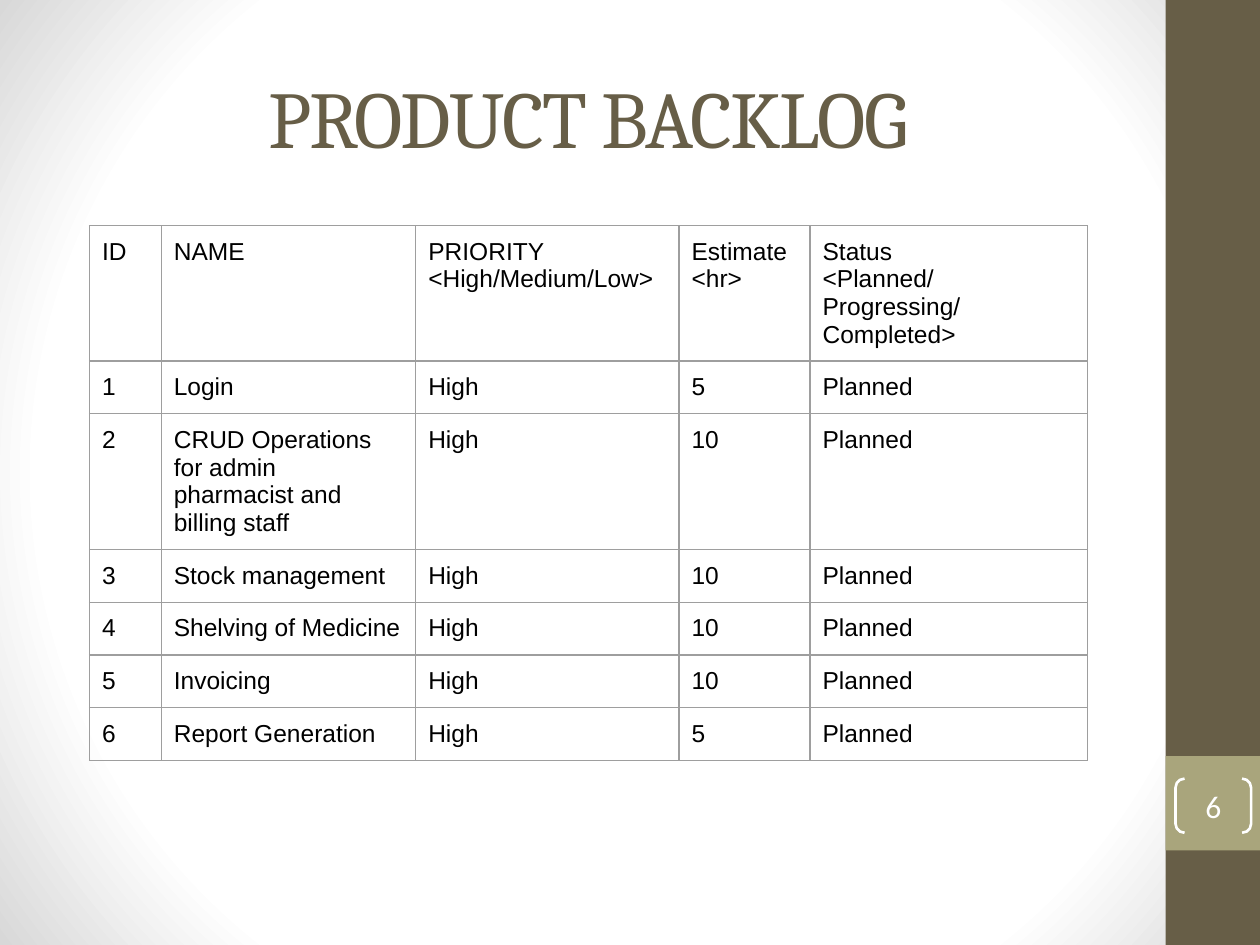
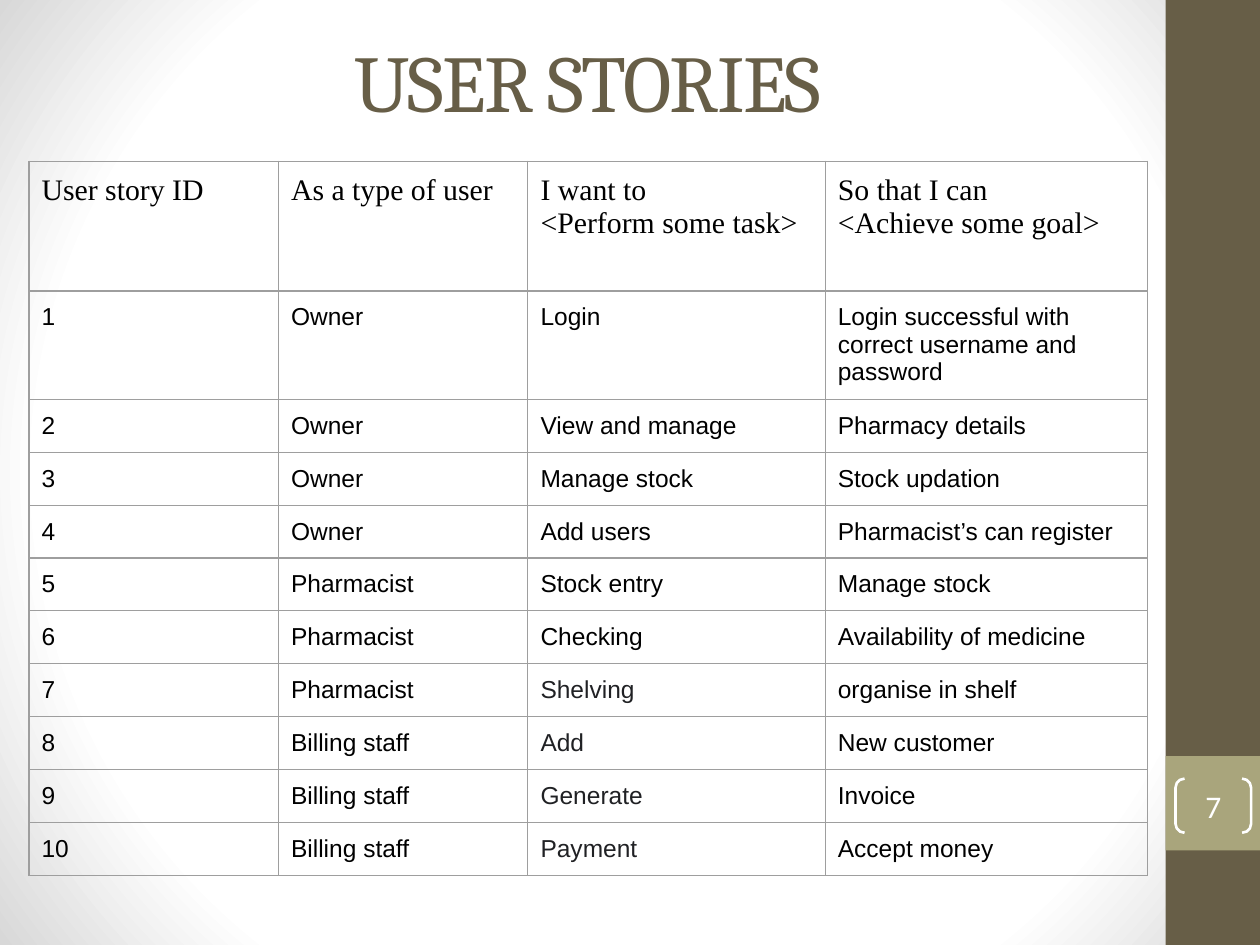
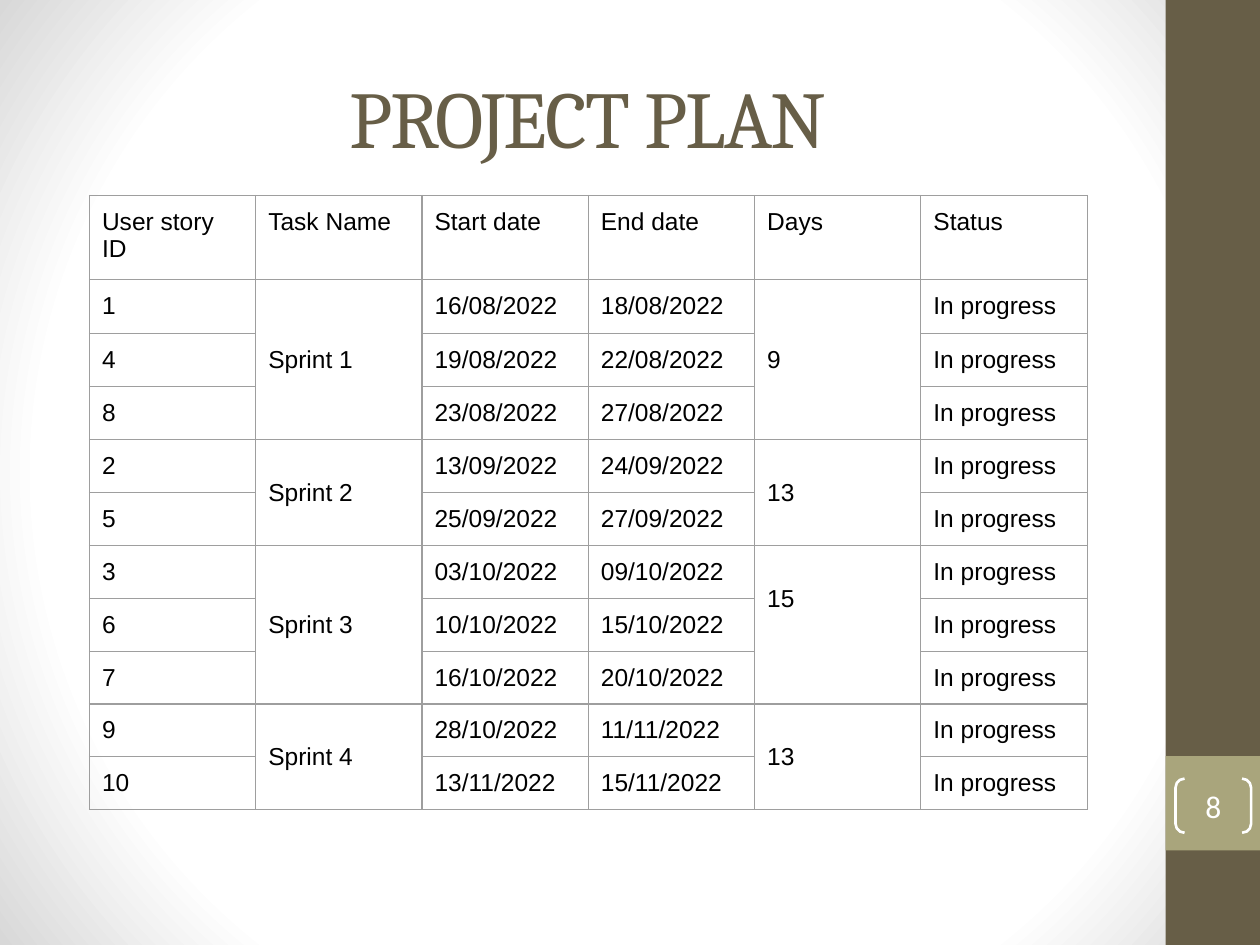
"""Build three project planning slides: product backlog, user stories and project plan."""
from dataclasses import dataclass
from pptx import Presentation
from pptx.dml.color import RGBColor as RGB
from pptx.enum.shapes import MSO_SHAPE as Shape
from pptx.enum.text import MSO_ANCHOR as Anchor, PP_ALIGN as Align
from pptx.oxml import parse_xml
from pptx.oxml.ns import nsdecls, qn
from pptx.util import Inches, Pt


@dataclass(frozen=True)
class Theme:
    dark: str = "675E47"
    light: str = "A9A57C"
    white: str = "FFFFFF"
    shade: str = "D8D8D8"
    rule: str = "9E9E9E"
    black: str = "000000"
    soft: str = "202124"
    head: tuple = ("Cambria", 46)
    page: tuple = ("Calibri", 18)
    cell: tuple = ("Arial", 14)
    story: tuple = ("Times New Roman", 17)


look = Theme()
WIDE, HIGH = Inches(10), Inches(7.5)
UNIT = WIDE / 40
PAD = Inches(0.1)
LINE = Inches(0.22)
ROW = 0.42


def write(frame, text, style, color, align=Align.LEFT):
    name, size = style
    for i, line in enumerate(text.split("\n")):
        para = frame.paragraphs[0] if i == 0 else frame.add_paragraph()
        para.alignment = align
        run = para.add_run()
        run.text = line
        run.font.name, run.font.size = name, Pt(size)
        run.font.color.rgb = RGB.from_string(color)


def draw(slide, kind, x, y, w, h):
    shape = slide.shapes.add_shape(kind, *(int(n * UNIT) for n in (x, y, w, h)))
    shape.shadow.inherit = False
    return shape


backlog = [
    ("ID", "NAME", "PRIORITY\n<High/Medium/Low>", "Estimate\n<hr>",
     "Status\n<Planned/Progressing/Completed>"),
]
jobs = [
    ("Login", 5),
    ("CRUD Operations for admin pharmacist and billing staff", 10),
    ("Stock management", 10),
    ("Shelving of Medicine", 10),
    ("Invoicing", 10),
    ("Report Generation", 5),
]
for i, (job, hours) in enumerate(jobs, 1):
    backlog.append((str(i), job, "High", str(hours), "Planned"))

stories = [
    ("User story ID", "As a type of user", "I want to\n<Perform some task>",
     "So that I can\n<Achieve some goal>"),
]
wants = [
    ("Owner", "Login", "Login successful with correct username and password"),
    ("Owner", "View and manage", "Pharmacy details"),
    ("Owner", "Manage stock", "Stock updation"),
    ("Owner", "Add users", "Pharmacist’s can register"),
    ("Pharmacist", "Stock entry", "Manage stock"),
    ("Pharmacist", "Checking", "Availability of medicine"),
    ("Pharmacist", "Shelving", "organise in shelf"),
    ("Billing staff", "Add", "New customer"),
    ("Billing staff", "Generate", "Invoice"),
    ("Billing staff", "Payment", "Accept money"),
]
for i, want in enumerate(wants, 1):
    stories.append((str(i), *want))

plan = [("User story ID", "Task Name", "Start date", "End date", "Days", "Status")]
sprints = [
    (9, [(1, "16/08/2022", "18/08/2022"), (4, "19/08/2022", "22/08/2022"),
         (8, "23/08/2022", "27/08/2022")]),
    (13, [(2, "13/09/2022", "24/09/2022"), (5, "25/09/2022", "27/09/2022")]),
    (15, [(3, "03/10/2022", "09/10/2022"), (6, "10/10/2022", "15/10/2022"),
          (7, "16/10/2022", "20/10/2022")]),
    (13, [(9, "28/10/2022", "11/11/2022"), (10, "13/11/2022", "15/11/2022")]),
]
for i, (days, tasks) in enumerate(sprints, 1):
    for j, (task, start, end) in enumerate(tasks):
        sprint, total = (None, None) if j else (f"Sprint {i}", str(days))
        plan.append((str(task), sprint, start, end, total, "In progress"))

pages = [
    ("PRODUCT BACKLOG", backlog, (0.71, 1.79), (0.57, 2.02, 2.09, 1.04, 2.2),
     {0: 1.07, 2: 1.07}, look.cell),
    ("USER STORIES", stories, (0.23, 1.28), (1.98, 1.98, 2.36, 2.56),
     {0: 1.03, 1: 0.86}, look.story),
    ("PROJECT PLAN", plan, (0.71, 1.55), (1.32,) * 6, {0: 0.67, 1: 0.43}, look.cell),
]

deck = Presentation()
deck.slide_width, deck.slide_height = WIDE, HIGH
base = deck.slide_layouts[5]

base.background.fill.solid()
ground = base.element.find(".//" + qn("p:bgPr"))
stops = "".join(
    f'<a:gs pos="{at}000"><a:srgbClr val="{tone}"/></a:gs>'
    for at, tone in ((0, look.white), (75, look.white), (100, look.shade)))
ground.replace(ground[0], parse_xml(
    f'<a:gradFill {nsdecls("a")} rotWithShape="1"><a:gsLst>{stops}</a:gsLst>'
    '<a:path path="circle"><a:fillToRect l="50000" t="50000" r="50000" b="50000"/>'
    '</a:path></a:gradFill>'))

for page, (name, data, spot, cols, tall, top) in enumerate(pages, 6):
    slide = deck.slides.add_slide(base)
    if page == 6:
        for i, (y, h, tone) in enumerate(((0, 30, look.dark), (24, 3, look.light))):
            band = draw(slide, Shape.RECTANGLE, 37, y, 3, h)
            band.fill.solid()
            band.fill.fore_color.rgb = RGB.from_string(tone)
            band.line.fill.background()
            base.shapes.element.insert(2 + i, band.element)

    title = slide.shapes.title
    y, h = (0.17, 0.93) if data is stories else (0.3, 1.25)
    title.left, title.top = Inches(0.5), Inches(y)
    title.width, title.height = Inches(8.33), Inches(h)
    title.text_frame.vertical_anchor = Anchor.MIDDLE
    write(title.text_frame, name, look.head, look.dark, Align.CENTER)
    title.text_frame.paragraphs[0].runs[0].font._element.set("spc", "-100")

    mark = draw(slide, Shape.DOUBLE_BRACKET, 37.32, 24.72, 2.4, 1.72)
    mark.fill.background()
    mark.line.color.rgb = RGB.from_string(look.white)
    mark.line.width = Pt(1.5)
    frame = mark.text_frame
    frame.margin_left = frame.margin_right = frame.margin_top = frame.margin_bottom = 0
    frame.vertical_anchor = Anchor.MIDDLE
    write(frame, str(page), look.page, look.white, Align.CENTER)

    highs = [tall.get(r, ROW) for r in range(len(data))]
    x, y = spot
    grid = slide.shapes.add_table(
        len(data), len(cols), Inches(x), Inches(y),
        Inches(sum(cols)), Inches(sum(highs))).table
    grid.first_row = grid.horz_banding = False
    for col, wide in zip(grid.columns, cols):
        col.width = Inches(wide)
    for row, high in zip(grid.rows, highs):
        row.height = Inches(high)

    for r, line in enumerate(data):
        for c, text in enumerate(line):
            cell = grid.cell(r, c)
            cell.margin_left = cell.margin_right = PAD
            cell.margin_top = cell.margin_bottom = PAD
            cell.fill.background()
            for i, side in enumerate("LRTB"):
                cell._tc.tcPr.insert(i, parse_xml(
                    f'<a:ln{side} {nsdecls("a")} w="{Pt(0.75)}"><a:solidFill>'
                    f'<a:srgbClr val="{look.rule}"/></a:solidFill></a:ln{side}>'))
            if text is None:
                continue
            last = r
            while last + 1 < len(data) and data[last + 1][c] is None:
                last += 1
            if last > r:
                cell.merge(grid.cell(last, c))
                if text == "15":
                    cell.margin_top = PAD + LINE
                else:
                    cell.vertical_anchor = Anchor.MIDDLE
            pale = data is stories and c == 2 and r > 6
            write(cell.text_frame, text, look.cell if r else top,
                  look.soft if pale else look.black)

deck.save("out.pptx")
